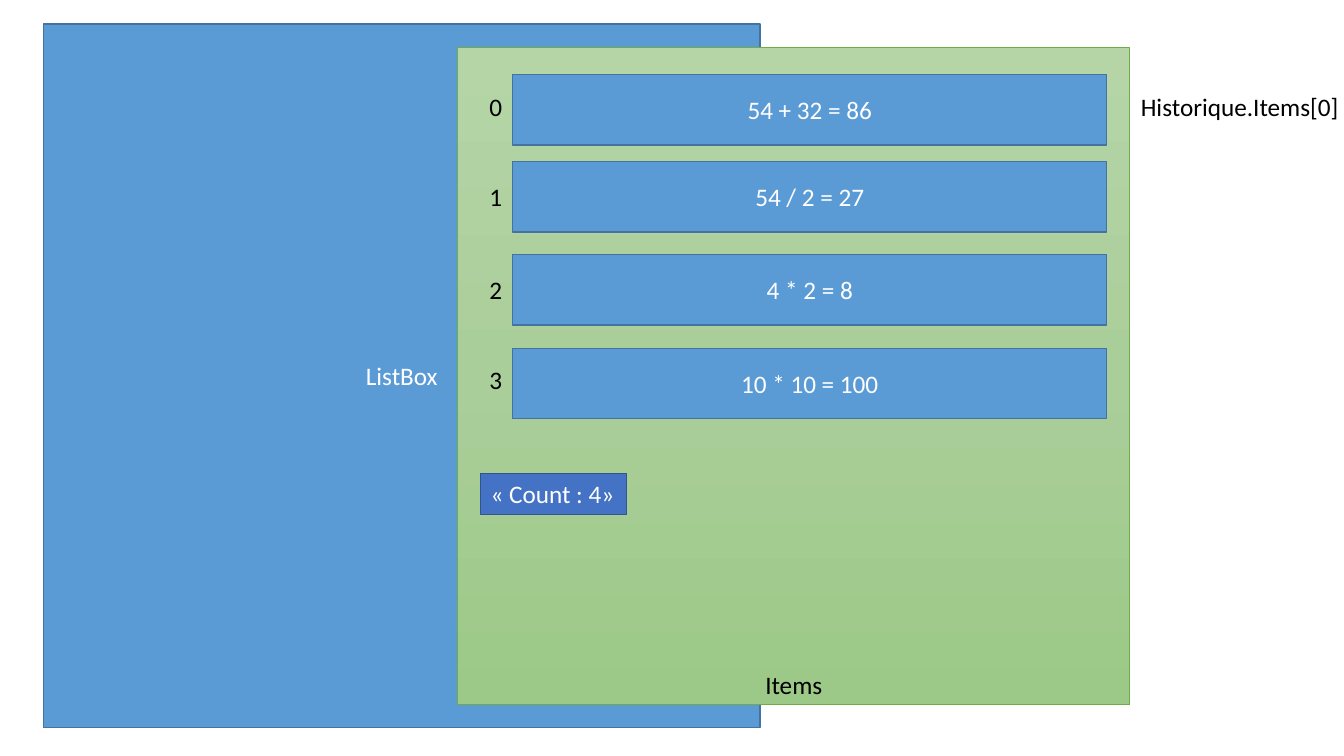
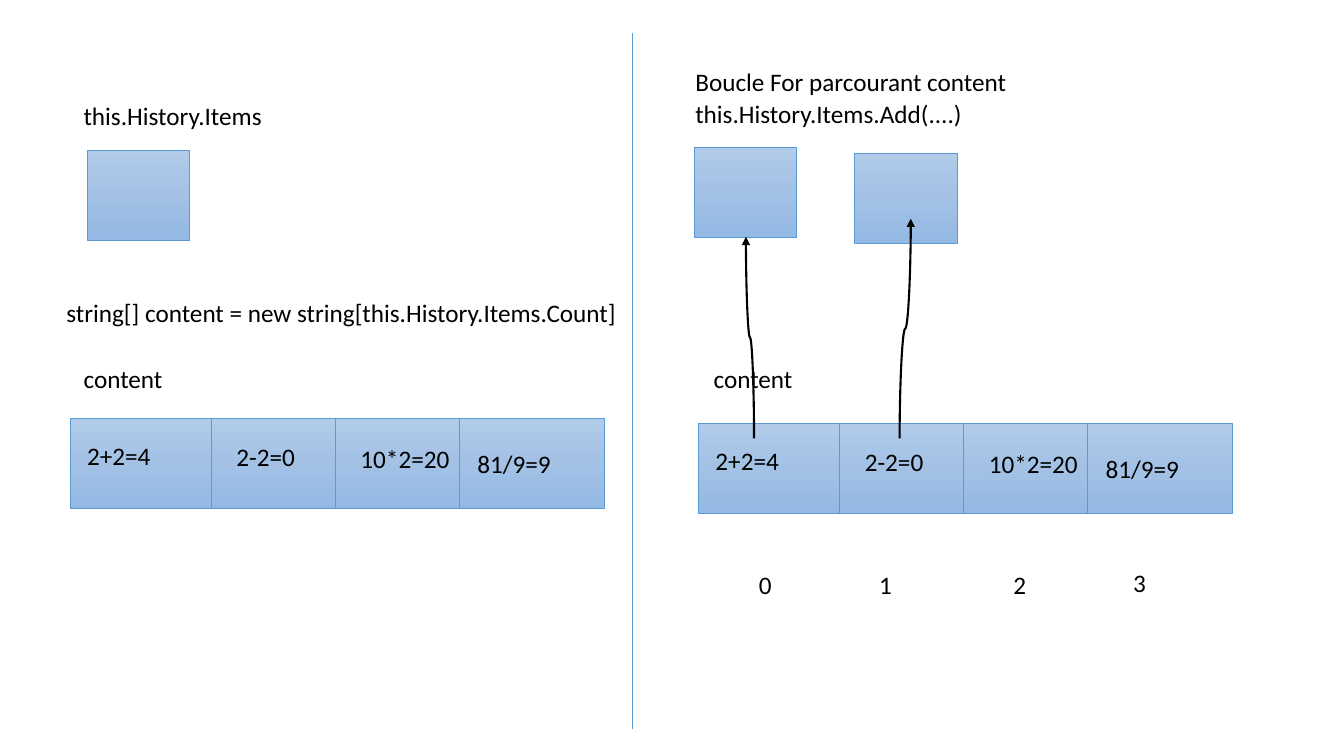
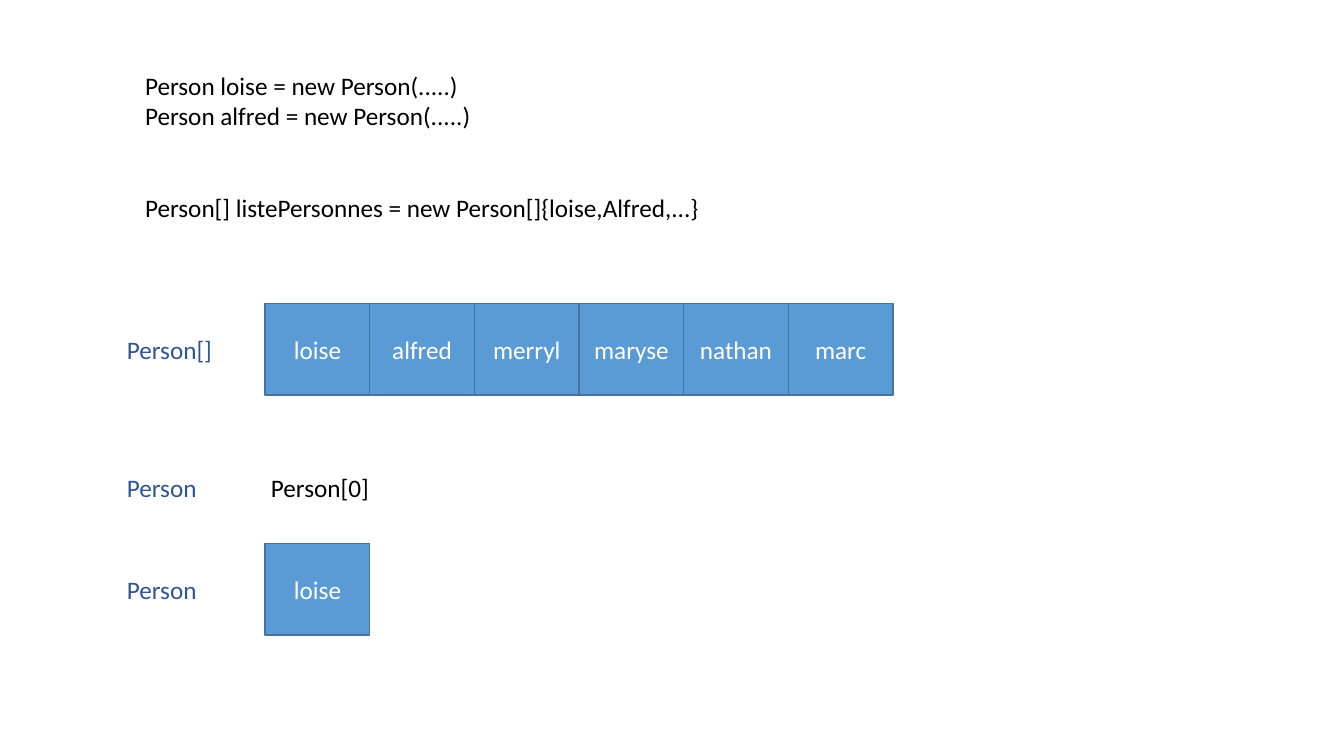
from copy import deepcopy
from dataclasses import dataclass
from typing import NamedTuple, Optional, Union

from lxml.etree import SubElement
from pptx import Presentation
from pptx.dml.color import RGBColor
from pptx.enum.shapes import MSO_CONNECTOR, MSO_SHAPE
from pptx.enum.text import MSO_ANCHOR, MSO_AUTO_SIZE, PP_ALIGN
from pptx.oxml.ns import qn
from pptx.shapes.autoshape import Shape
from pptx.shapes.connector import Connector
from pptx.shapes.shapetree import GroupShapes, SlideShapes
from pptx.util import Pt

Tree = Union[SlideShapes, GroupShapes]


@dataclass(frozen=True)
class Theme:
    font: str = "Calibri"
    size: float = 18
    black: str = "000000"
    white: str = "FFFFFF"
    navy: str = "2F5597"
    blue: str = "5B9BD5"
    edge: str = "43739E"
    royal: str = "4472C4"
    border: str = "325491"
    leaf: str = "70AD47"
    green: tuple[str, ...] = ("B5D5A7", "AACE9A", "9CC987")
    sky: tuple[str, ...] = ("B1CBE9", "A3C1E5", "93B9E4")


THEME = Theme()


class Area(NamedTuple):
    x: float
    y: float
    w: float
    h: float


class Label(NamedTuple):
    text: str
    x: float
    y: float
    w: float
    h: float = 29
    color: str = THEME.black


@dataclass(frozen=True)
class Look:
    fill: Union[str, tuple[str, ...]]
    edge: str
    width: float


SOLID = Look(THEME.blue, THEME.edge, 1)
BADGE = Look(THEME.royal, THEME.border, 1)
GREEN = Look(THEME.green, THEME.leaf, 0.5)
SKY = Look(THEME.sky, THEME.blue, 0.5)


def write(shape: Shape, text: str, *, color: str = THEME.white,
          align: PP_ALIGN = PP_ALIGN.CENTER,
          anchor: MSO_ANCHOR = MSO_ANCHOR.MIDDLE,
          wrap: bool = True, gap: float = 0) -> None:
    frame = shape.text_frame
    frame.word_wrap = wrap
    frame.auto_size = MSO_AUTO_SIZE.NONE if wrap else MSO_AUTO_SIZE.SHAPE_TO_FIT_TEXT
    frame.vertical_anchor = anchor
    frame.text = text
    for para in frame.paragraphs:
        para.alignment = align
        for run in para.runs:
            run.font.name = THEME.font
            run.font.size = Pt(THEME.size)
            run.font.color.rgb = RGBColor.from_string(color)
    if gap:
        frame.paragraphs[-1].space_before = Pt(gap)


def label(tree: Tree, item: Label, gap: float = 0) -> None:
    box = tree.add_textbox(Pt(item.x), Pt(item.y), Pt(item.w), Pt(item.h))
    write(box, item.text, color=item.color, align=PP_ALIGN.LEFT,
          anchor=MSO_ANCHOR.TOP, wrap=False, gap=gap)


def block(tree: Tree, area: Area, look: Look) -> Shape:
    shape = tree.add_shape(MSO_SHAPE.RECTANGLE, *map(Pt, area))
    shape.shadow.inherit = False
    if isinstance(look.fill, str):
        shape.fill.solid()
        shape.fill.fore_color.rgb = RGBColor.from_string(look.fill)
    else:
        shape.fill.gradient()
        shape.fill.gradient_angle = 270
        stops = shape._element.spPr.find(".//" + qn("a:gsLst"))
        stops.append(deepcopy(stops[0]))
        last = len(look.fill) - 1
        for step, (stop, color) in enumerate(zip(shape.fill.gradient_stops, look.fill)):
            stop.position = step / last
            stop.color.rgb = RGBColor.from_string(color)
    shape.line.color.rgb = RGBColor.from_string(look.edge)
    shape.line.width = Pt(look.width)
    return shape


def link(tree: Tree, kind: MSO_CONNECTOR, x1: float, y1: float, x2: float,
         y2: float, color: str, width: float) -> Connector:
    line = tree.add_connector(kind, Pt(x1), Pt(y1), Pt(x2), Pt(y2))
    line.line.color.rgb = RGBColor.from_string(color)
    line.line.width = Pt(width)
    SubElement(line._element.spPr, qn("a:effectLst"))
    return line


def rule(tree: Tree, x: float, top: float, base: float) -> None:
    link(tree, MSO_CONNECTOR.STRAIGHT, x, base, x, top, THEME.blue, 0.5)


def rise(tree: Tree, x1: float, y1: float, x2: float, y2: float) -> None:
    mid_x, mid_y = (x1 + x2) / 2, (y1 + y2) / 2
    reach, shift = (y1 - y2) / 2, (x2 - x1) / 2
    line = link(tree, MSO_CONNECTOR.CURVE, mid_x - reach, mid_y - shift,
                mid_x + reach, mid_y + shift, THEME.black, 1.5)
    props = line._element.spPr
    props.find(qn("a:xfrm")).set("rot", str(270 * 60000))
    SubElement(props.find(qn("a:ln")), qn("a:tailEnd"), type="triangle")


def strip(tree: Tree, x: float, y: float) -> None:
    group = tree.add_group_shape().shapes
    high = 64.4
    block(group, Area(x, y, 381.6, high), SKY)
    for col in range(3):
        rule(group, x + 100.8 + 88.56 * col, y, y + high)
    cells = (Label("2+2=4", 5, 12.2, 60.5), Label("2-2=0", 111.6, 12.6, 56.9),
             Label("10*2=20", 200.2, 14.4, 78.5), Label("81/9=9", 283.7, 17.6, 67.7))
    for cell in cells:
        label(group, cell._replace(x=x + cell.x, y=y + cell.y))


def person(tree: Tree, name: str, x: float, y: float) -> None:
    write(block(tree, Area(x, y, SIDE, 65.6), SOLID), name)


SIDE = 74.74


def listbox(tree: Tree) -> None:
    write(block(tree, Area(31, 17, 512, 502.6), SOLID), "ListBox")
    write(block(tree, Area(327, 34, 480, 469.4), GREEN), "Items",
          color=THEME.black, anchor=MSO_ANCHOR.BOTTOM)
    rows = (("54 + 32 = 86", 53.2, 62), ("54 / 2 = 27", 115.4, 126),
            ("4 * 2 = 8", 181.9, 192.2), ("10 * 10 = 100", 248.8, 256.5))
    for index, (text, top, mark) in enumerate(rows):
        write(block(tree, Area(366.3, top, 424.2, 50.4), SOLID), text)
        label(tree, Label(str(index), 342.5, mark, 23.8))
    write(block(tree, Area(343.3, 338.4, 104.4, 29), BADGE), "«\u00a0Count\u00a0: 4»",
          align=PP_ALIGN.LEFT, anchor=MSO_ANCHOR.TOP, wrap=False)
    label(tree, Label("Historique.Items[0]", 807.8, 62, 157))


def history(tree: Tree) -> None:
    rule(tree, 451.4, 23.8, 520.6)
    for x, y in ((62.6, 107.3), (496, 105.3), (610.6, 109.6)):
        block(tree, Area(x, y, 73, 64.4), SKY)
    strip(tree, 50.2, 298.9)
    strip(tree, 499, 302.5)
    notes = (
        Label("string[] content = new string[this.History.Items.Count]", 40.3, 208.8, 411),
        Label("content", 52.6, 256.3, 71.3),
        Label("this.History.Items", 52.6, 68.4, 142.6),
        Label("Boucle For parcourant content", 489.6, 43.9, 239),
        Label("this.History.Items.Add(....)", 489.6, 66.5, 206.6),
        Label("content", 502.6, 256, 71.3),
    )
    for note in notes:
        label(tree, note)
    for index, (x, y) in enumerate(((535, 402.8), (620.9, 402.8), (716.7, 402.8), (802.3, 401.5))):
        label(tree, Label(str(index), x, y, 23.8))
    rise(tree, 538.6, 313.2, 532.8, 169.2)
    rise(tree, 642.6, 313.2, 650.6, 156.2)


def people(tree: Tree) -> None:
    left = 189.4
    group = tree.add_group_shape().shapes
    names = ("loise", "alfred", "merryl", "maryse", "nathan", "marc")
    for col, name in enumerate(names):
        person(group, name, left + SIDE * col, 216.7)
    person(tree, names[0], left, 388.1)
    code = "\n".join(("Person loise = new Person(.....)",
                      "Person alfred = new Person(.....)",
                      "Person[] listePersonnes = new Person[]{loise,Alfred,...}"))
    label(tree, Label(code, 96.5, 46.8, 414, 138.2), gap=44)
    for text, y, wide in (("Person[] ", 235.4, 79.9), ("Person", 334.1, 64.8), ("Person", 406.8, 64.8)):
        label(tree, Label(text, 83.5, y, wide, color=THEME.navy))
    label(tree, Label("Person[0] ", 186.5, 334.1, 89.3))


def main() -> None:
    deck = Presentation()
    deck.slide_width, deck.slide_height = Pt(960), Pt(540)
    for draw in (listbox, history, people):
        draw(deck.slides.add_slide(deck.slide_layouts[6]).shapes)
    deck.save("out.pptx")


main()
